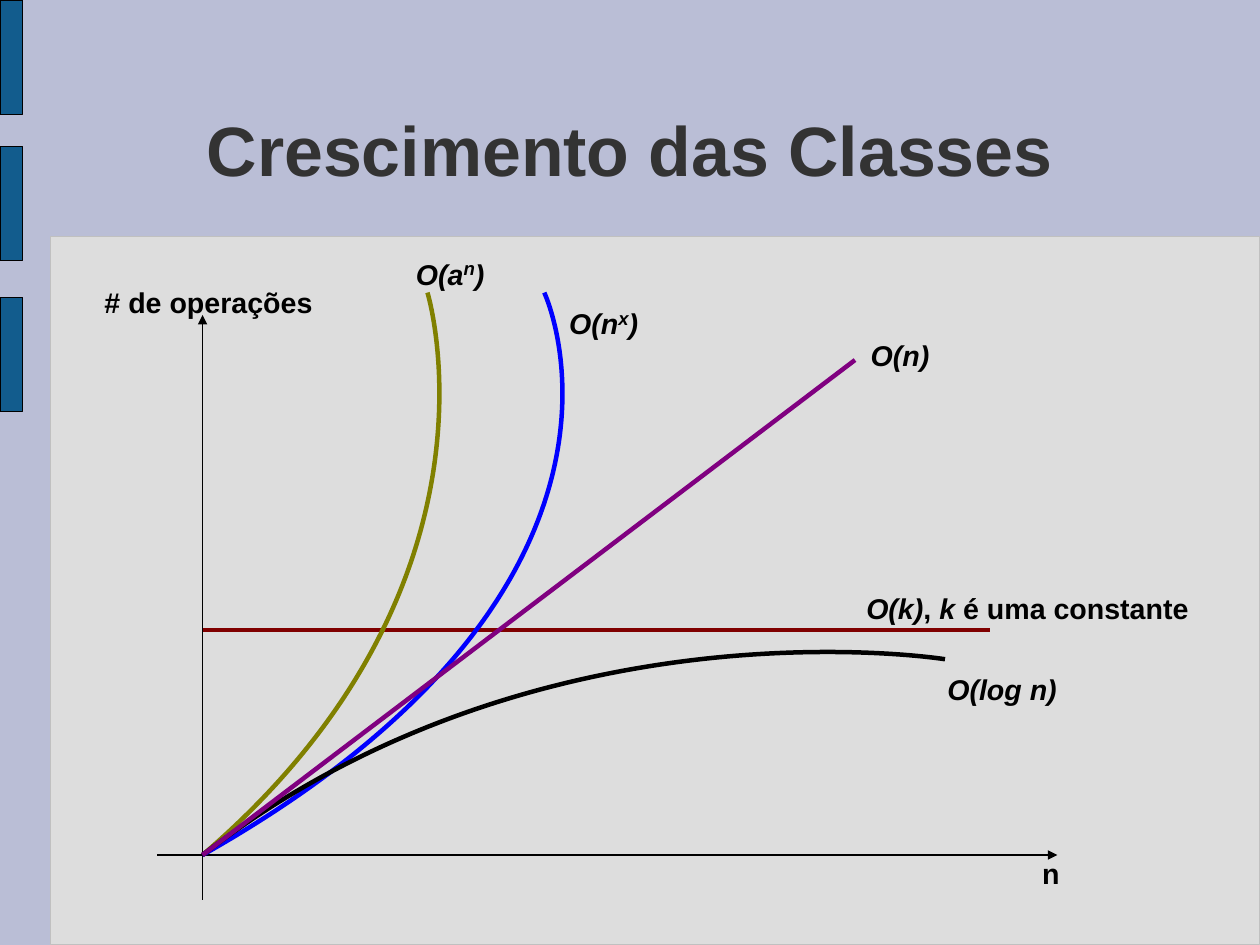
from dataclasses import dataclass

from lxml import etree
from pptx import Presentation
from pptx.dml.color import RGBColor
from pptx.enum.shapes import MSO_CONNECTOR, MSO_SHAPE
from pptx.enum.text import MSO_ANCHOR, MSO_AUTO_SIZE, PP_ALIGN
from pptx.oxml.ns import qn
from pptx.util import Pt

RECT = MSO_SHAPE.RECTANGLE
STRAIGHT = MSO_CONNECTOR.STRAIGHT
LEFT, CENTER = PP_ALIGN.LEFT, PP_ALIGN.CENTER
MIDDLE, NO_AUTOFIT = MSO_ANCHOR.MIDDLE, MSO_AUTO_SIZE.NONE

LAVENDER = RGBColor(0xBA, 0xBE, 0xD6)
PANEL_GREY = RGBColor(0xDD, 0xDD, 0xDD)
BORDER_GREY = RGBColor(0xC0, 0xC0, 0xC0)
BAR_BLUE = RGBColor(0x12, 0x5C, 0x8D)
TITLE_GREY = RGBColor(0x33, 0x33, 0x33)
BLACK = RGBColor(0x00, 0x00, 0x00)
MAROON = RGBColor(0x80, 0x00, 0x00)
OLIVE = RGBColor(0x80, 0x80, 0x00)
BLUE = RGBColor(0x00, 0x00, 0xFF)
PURPLE = RGBColor(0x80, 0x00, 0x80)

FONT = "Arial"
SLIDE_W, SLIDE_H = 793.7, 595.3
PANEL_X, PANEL_Y = 31.7, 149
THIN, THICK = 0.75, 2.83
ORIGIN_X, ORIGIN_Y = 127.6, 538.6
CONSTANT_Y = 396.9

Point = tuple[float, float]


@dataclass
class Box:
    x: float
    y: float
    w: float
    h: float
    fill: RGBColor
    line: RGBColor


@dataclass
class Line:
    start: Point
    end: Point
    color: RGBColor = BLACK
    width: float = THIN
    arrow: bool = False


@dataclass
class Curve:
    control: Point
    end: Point
    color: RGBColor


@dataclass
class Run:
    text: str
    italic: bool = True
    superscript: bool = False


@dataclass
class Label:
    x: float
    y: float
    w: float
    h: float
    runs: list[Run]
    align: PP_ALIGN = LEFT


BOXES = [Box(PANEL_X, PANEL_Y, SLIDE_W - PANEL_X, SLIDE_H - PANEL_Y, PANEL_GREY, BORDER_GREY)]
BOXES += [Box(0, y, 14.4, 72, BAR_BLUE, BLACK) for y in (0, 92.2, 187.2)]

AXES_AND_CONSTANT = [
    Line((ORIGIN_X, 566.9), (ORIGIN_X, 198.4), arrow=True),
    Line((99.2, ORIGIN_Y), (666.1, ORIGIN_Y), arrow=True),
    Line((ORIGIN_X, CONSTANT_Y), (623.6, CONSTANT_Y), MAROON, THICK),
]
CURVES = [
    Curve((326, 368.5), (269.3, 184.3), OLIVE),
    Curve((429.2, 368.5), (342.9, 184.3), BLUE),
    Curve((340.2, 374.2), (595.3, 415.3), BLACK),
]
LINEAR = Line((ORIGIN_X, ORIGIN_Y), (538.6, 226.8), PURPLE, THICK)

LABELS = [
    Label(649.4, 535.7, 73.4, 47.5, [Run("n", False)]),
    Label(254.9, 156.2, 70.6, 28, [Run("O(a"), Run("n", superscript=True), Run(")")]),
    Label(351.4, 187.2, 70.6, 28, [Run("O(n"), Run("x", superscript=True), Run(")")]),
    Label(541.4, 209.5, 54, 27.4, [Run("O(n)")]),
    Label(538.6, 368.6, 220, 27.4,
          [Run("O(k)"), Run(", ", False), Run("k"), Run(" é uma constante", False)]),
    Label(589.7, 419.8, 87, 27.4, [Run("O(log n)")]),
    Label(48.2, 175.7, 166.3, 47.5, [Run("# de operações", False)], CENTER),
]


def add_box(shapes, box: Box) -> None:
    sp = shapes.add_shape(RECT, Pt(box.x), Pt(box.y), Pt(box.w), Pt(box.h))
    sp.shadow.inherit = False
    sp.fill.solid()
    sp.fill.fore_color.rgb = box.fill
    sp.line.color.rgb = box.line
    sp.line.width = Pt(THIN)


def add_line(shapes, line: Line) -> None:
    cxn = shapes.add_connector(STRAIGHT, *map(Pt, line.start + line.end))
    cxn.line.color.rgb = line.color
    cxn.line.width = Pt(line.width)
    if line.arrow:
        etree.SubElement(cxn.line._get_or_add_ln(), qn("a:tailEnd"), type="triangle")
    etree.SubElement(cxn._element.spPr, qn("a:effectLst"))


def add_curve(shapes, curve: Curve) -> None:
    """Draw a cubic curve from the origin, its second control on its end."""
    builder = shapes.build_freeform(Pt(ORIGIN_X), Pt(ORIGIN_Y))
    corners = [curve.control, curve.end, curve.end]
    builder.add_line_segments([(Pt(x), Pt(y)) for x, y in corners], close=False)
    sp = builder.convert_to_shape()
    outline = sp._element.find(".//" + qn("a:path"))
    segments = outline.findall(qn("a:lnTo"))
    bezier = etree.SubElement(outline, qn("a:cubicBezTo"))
    for segment in segments:
        bezier.append(segment[0])
        outline.remove(segment)
    sp.shadow.inherit = False
    sp.fill.background()
    sp.line.color.rgb = curve.color
    sp.line.width = Pt(THICK)


def add_run(p, text: str, size: float, color: RGBColor, italic: bool = False):
    r = p.add_run()
    r.text = text
    r.font.name = FONT
    r.font.size = Pt(size)
    r.font.bold = True
    r.font.italic = italic
    r.font.color.rgb = color
    return r


def add_label(shapes, label: Label) -> None:
    sp = shapes.add_textbox(Pt(label.x), Pt(label.y), Pt(label.w), Pt(label.h))
    tf = sp.text_frame
    tf.word_wrap = True
    p = tf.paragraphs[0]
    p.alignment = label.align
    for run in label.runs:
        size = 20.2 if run.superscript else 18
        r = add_run(p, run.text, size, BLACK, run.italic)
        if run.superscript:
            r.font._element.set("baseline", "30000")


def set_title(sp, text: str) -> None:
    sp.left, sp.top, sp.width, sp.height = Pt(58.3), Pt(43.9), Pt(677.5), Pt(99.4)
    tf = sp.text_frame
    tf.margin_left = tf.margin_top = tf.margin_right = tf.margin_bottom = 0
    tf.vertical_anchor = MIDDLE
    tf.auto_size = NO_AUTOFIT
    tf.word_wrap = True
    p = tf.paragraphs[0]
    p.alignment = CENTER
    add_run(p, text, 44, TITLE_GREY)


def main() -> None:
    prs = Presentation()
    prs.slide_width, prs.slide_height = Pt(SLIDE_W), Pt(SLIDE_H)
    s = prs.slides.add_slide(prs.slide_layouts[5])
    s.background.fill.solid()
    s.background.fill.fore_color.rgb = LAVENDER

    # Title, panel and side bars
    set_title(s.shapes.title, "Crescimento das Classes")
    for box in BOXES:
        add_box(s.shapes, box)

    # Axes and growth curves
    for line in AXES_AND_CONSTANT:
        add_line(s.shapes, line)
    for curve in CURVES:
        add_curve(s.shapes, curve)
    add_line(s.shapes, LINEAR)

    # Labels
    for label in LABELS:
        add_label(s.shapes, label)
    prs.save("out.pptx")


if __name__ == "__main__":
    main()
